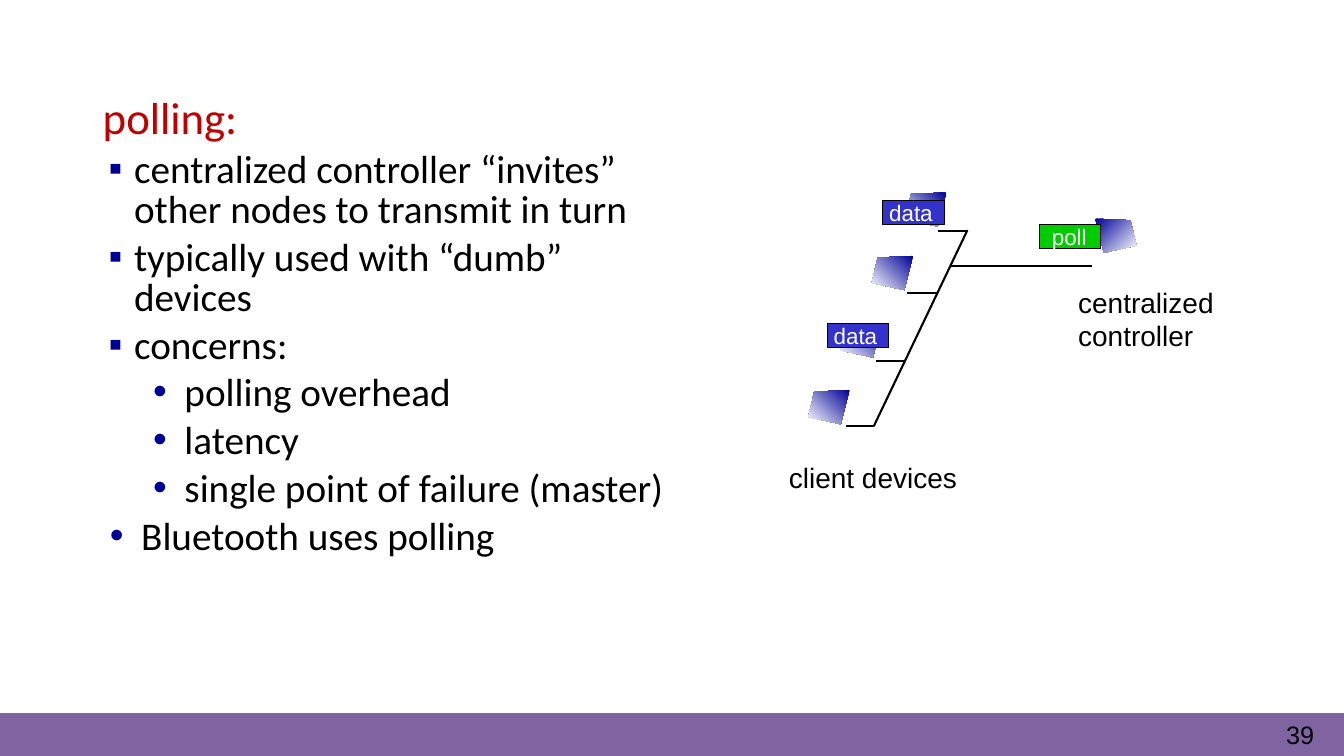
from dataclasses import dataclass

from lxml.etree import SubElement
from pptx import Presentation
from pptx.dml.color import RGBColor as RGB
from pptx.enum.shapes import MSO_CONNECTOR as Connector, MSO_SHAPE as Shape
from pptx.enum.text import MSO_ANCHOR as Anchor, PP_ALIGN as Align
from pptx.oxml.ns import qn
from pptx.util import Cm, Pt


@dataclass(frozen=True)
class Theme:
    body_font: str = "Calibri"
    label_font: str = "Arial"
    heading_size: int = 32
    body_size: int = 28
    label_size: int = 20
    number_size: int = 18
    tag_size: int = 16
    ink: RGB = RGB(0x00, 0x00, 0x00)
    paper: RGB = RGB(0xFF, 0xFF, 0xFF)
    heading: RGB = RGB(0xC0, 0x00, 0x00)
    navy: RGB = RGB(0x00, 0x00, 0x99)
    band: RGB = RGB(0x80, 0x63, 0xA1)
    poll: RGB = RGB(0x00, 0xCC, 0x00)
    data: RGB = RGB(0x33, 0x33, 0xCC)


THEME = Theme()
SLIDE_WIDTH, SLIDE_HEIGHT = 33.87, 19.05
BAND_TOP = 17.98

# Text, level, bullet, left margin and hanging indent (cm)
POINTS = [
    ("centralized controller “invites” other nodes to transmit in turn", 0, "▪", 0.79, 0.64),
    ("typically used with “dumb” devices", 0, "▪", 0.79, 0.64),
    ("concerns:", 0, "▪", 0.79, 0.64),
    ("polling overhead", 1, "•", 2.06, 0.79),
    ("latency", 1, "•", 2.06, 0.79),
    ("single point of failure (master)", 1, "•", 2.06, 0.79),
    ("Bluetooth uses polling", 0, "•", 0.97, 0.79),
]

# Device outline within its own box (cm)
DEVICE_WIDTH = 1.06
DEVICE_OUTLINE = [(1.04, 0), (0.15, 0.04), (0, 0.68), (0.82, 0.86)]
CLIENTS = [(20.37, 9.83), (21.18, 8.15), (21.97, 6.45), (22.81, 4.85)]
CONTROLLER = (27.58, 5.51)

# Shared bus: trunk ends, and the start of each client's branch
TRUNK_BOTTOM, TRUNK_TOP = (22.02, 10.74), (24.38, 5.8)
BRANCHES = [(21.31, 10.74), (22.07, 9.1), (22.86, 7.38), (23.65, 5.82)]
CONTROLLER_BRANCH = (27.53, 6.71)


def style(para, size, color, font=THEME.label_font):
    para.font.name = font
    para.font.size = Pt(size)
    para.font.color.rgb = color


def add_bullet(para, char, margin, hanging):
    props = para._p.get_or_add_pPr()
    props.set("marL", str(Cm(margin)))
    props.set("indent", str(-Cm(hanging)))
    color = SubElement(props, qn("a:buClr"))
    SubElement(color, qn("a:srgbClr"), val=str(THEME.navy))
    SubElement(props, qn("a:buFont"), typeface=THEME.label_font)
    SubElement(props, qn("a:buChar"), char=char)


def add_box(page, left, top, width, height):
    box = page.shapes.add_textbox(Cm(left), Cm(top), Cm(width), Cm(height))
    box.text_frame.word_wrap = True
    return box.text_frame


def add_label(page, text, left, top, width, height):
    para = add_box(page, left, top, width, height).paragraphs[0]
    para.text = text
    style(para, THEME.label_size, THEME.ink)


def add_rectangle(page, left, top, width, height, fill, line, weight):
    box = page.shapes.add_shape(Shape.RECTANGLE, Cm(left), Cm(top), Cm(width), Cm(height))
    box.shadow.inherit = False
    box.fill.solid()
    box.fill.fore_color.rgb = fill
    box.line.color.rgb = line
    box.line.width = Pt(weight)
    return box


def add_tag(page, text, left, top, fill, inset):
    box = add_rectangle(page, left, top, 1.55, 0.61, fill, THEME.ink, 0.75)
    frame = box.text_frame
    frame.margin_left = Cm(inset)
    frame.margin_right = frame.margin_top = frame.margin_bottom = 0
    frame.vertical_anchor = Anchor.MIDDLE
    frame.word_wrap = True
    para = frame.paragraphs[0]
    para.text = text
    para.alignment = Align.LEFT
    style(para, THEME.tag_size, THEME.paper)


def add_device(page, left, top, mirrored=False):
    corners = [
        (Cm(left + (DEVICE_WIDTH - x if mirrored else x)), Cm(top + y))
        for x, y in DEVICE_OUTLINE
    ]
    builder = page.shapes.build_freeform(*corners[0])
    builder.add_line_segments(corners[1:], close=True)
    device = builder.convert_to_shape()
    device.shadow.inherit = False
    device.line.fill.background()
    device.fill.gradient()
    device.fill.gradient_angle = 315 if mirrored else 225
    for stop, color in zip(device.fill.gradient_stops, (THEME.navy, THEME.paper)):
        stop.color.rgb = color


def add_line(page, start, end):
    ends = [Cm(value) for value in (*start, *end)]
    line = page.shapes.add_connector(Connector.STRAIGHT, *ends)
    line.line.color.rgb = THEME.ink
    line.line.width = Pt(1.5)
    SubElement(line._element.spPr, qn("a:effectLst"))


def trunk_point(y):
    """Point of the sloping trunk at height y."""
    (x1, y1), (x2, y2) = TRUNK_BOTTOM, TRUNK_TOP
    return x1 + (x2 - x1) * (y - y1) / (y2 - y1), y


def add_footer(page):
    add_rectangle(page, 0, BAND_TOP, SLIDE_WIDTH, SLIDE_HEIGHT - BAND_TOP,
                  THEME.band, THEME.band, 1)
    frame = add_box(page, 32.41, 18.16, 1.35, 0.79)
    frame.margin_left = frame.margin_right = frame.margin_top = frame.margin_bottom = 0
    para = frame.paragraphs[0]
    para.text = "39"
    para.line_spacing = Pt(20.9)
    style(para, THEME.number_size, THEME.ink)


def add_points(page):
    frame = add_box(page, 2.34, 2.34, 15.24, 14.07)
    heading = frame.paragraphs[0]
    heading.text = "polling:"
    heading.line_spacing = 0.85
    style(heading, THEME.heading_size, THEME.heading, THEME.body_font)
    for text, level, char, margin, hanging in POINTS:
        para = frame.add_paragraph()
        para.text = text
        para.level = level
        para.line_spacing = 0.85
        para.space_before = Pt(5.6)
        add_bullet(para, char, margin, hanging)
        style(para, THEME.body_size, THEME.ink, THEME.body_font)


def add_network(page):
    # Devices
    for left, top in CLIENTS:
        add_device(page, left, top)
    add_device(page, *CONTROLLER, mirrored=True)

    # Labels and messages
    add_label(page, "centralized controller", 26.92, 7.06, 4.42, 1.96)
    add_label(page, "client devices", 19.63, 11.48, 4.95, 1.12)
    add_tag(page, "poll", 26.19, 5.66, THEME.poll, 0.32)
    add_tag(page, "data", 20.85, 8.15, THEME.data, 0.16)
    add_tag(page, "data", 22.25, 5.05, THEME.data, 0.16)

    # Bus
    add_line(page, TRUNK_BOTTOM, TRUNK_TOP)
    for start in [*BRANCHES, CONTROLLER_BRANCH]:
        add_line(page, start, trunk_point(start[1]))


def main():
    deck = Presentation()
    deck.slide_width, deck.slide_height = Cm(SLIDE_WIDTH), Cm(SLIDE_HEIGHT)
    page = deck.slides.add_slide(deck.slide_layouts[6])
    add_footer(page)
    add_points(page)
    add_network(page)
    deck.save("out.pptx")


if __name__ == "__main__":
    main()
